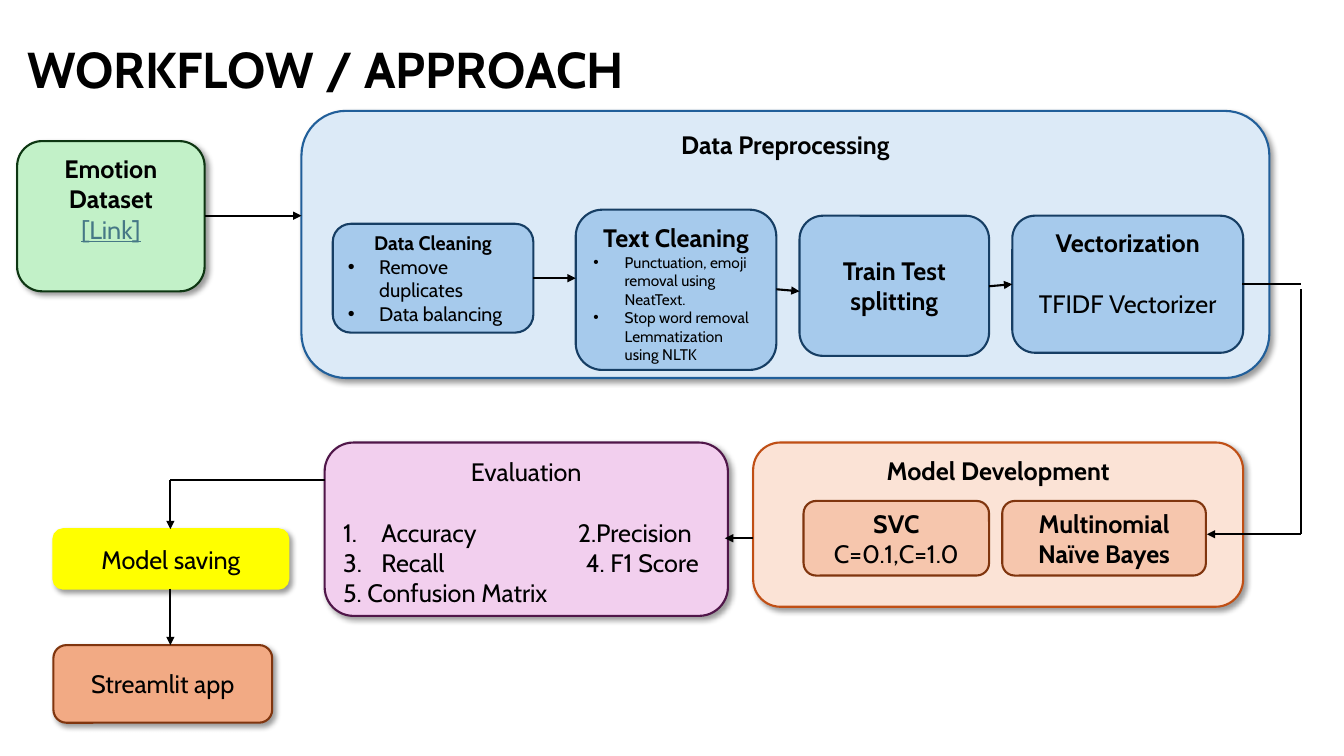
from lxml.etree import SubElement
from pptx import Presentation
from pptx.dml.color import RGBColor
from pptx.enum.shapes import MSO_CONNECTOR, MSO_SHAPE
from pptx.enum.text import MSO_ANCHOR, PP_ALIGN
from pptx.oxml.ns import qn
from pptx.util import Inches, Pt

COLORS = {
    "black": "000000", "link": "467886",
    "mint": "C2F1C8", "forest": "0D3612",
    "ice": "DCEAF7", "blue": "215F9A",
    "sky": "A6CAEC", "navy": "163E64",
    "cream": "FBE3D6", "rust": "C04F15",
    "peach": "F6C6AD", "brown": "80350E",
    "pink": "F2CFEE", "plum": "501649",
    "yellow": "FFFF00", "orange": "F2AA84",
}
CELL = Inches(0.1)  # the slide is a grid of square cells
LINE = 22           # height of an 18 pt line, in points


def color(name):
    return RGBColor.from_string(COLORS[name])


def write(frame, text, size=18, bold=False, ink="black", under=False,
          align=PP_ALIGN.CENTER, before=0, bullet=False, tabs=()):
    """Add one paragraph, filling the first one if it is still empty."""
    para = frame.paragraphs[0] if not frame.text else frame.add_paragraph()
    para.alignment = align
    para.space_before = Pt(before)
    run = para.add_run()
    run.text = text
    font = run.font
    font.name, font.size, font.bold, font.underline = "Cabin", Pt(size), bold, under
    font.color.rgb = color(ink)
    props = para._p.get_or_add_pPr()
    if bullet:
        props.set("marL", str(Inches(0.31)))
        props.set("indent", str(-Inches(0.31)))
        SubElement(props, qn("a:buFont"), typeface="Arial")
        SubElement(props, qn("a:buChar"), char="•")
    if tabs:
        stops = SubElement(props, qn("a:tabLst"))
        for stop in tabs:
            SubElement(stops, qn("a:tab"), pos=str(Inches(stop)), algn="l")


deck = Presentation()
deck.slide_width, deck.slide_height = Inches(13.33), Inches(7.5)
shapes = deck.slides.add_slide(deck.slide_layouts[6]).shapes

# Title
title = shapes.add_textbox(*[int(n * CELL) for n in (1.7, 3.3, 64.9, 7.1)])
title.text_frame.word_wrap = False
write(title.text_frame, "WORKFLOW / APPROACH", size=36, bold=True, align=PP_ALIGN.LEFT)

# Boxes: place in cells, fill, line, shadow, anchor, paragraphs
head = {"bold": True}
item = {"size": 14, "align": PP_ALIGN.LEFT, "bullet": True}
note = {**item, "size": 11}
left = {"align": PP_ALIGN.LEFT}
top, mid = MSO_ANCHOR.TOP, MSO_ANCHOR.MIDDLE
boxes = [
    ((1.7, 14, 18.6, 14.9), "mint", "forest", True, top,
     [("Emotion Dataset", head), ("[Link]", {"ink": "link", "under": True})]),
    ((29.9, 11, 96, 26.5), "ice", "blue", True, top,
     [("Data Preprocessing", head)]),
    ((33, 22.2, 19.9, 10.8), "sky", "navy", False, mid,
     [("Data Cleaning", {"size": 14, "bold": True}),
      ("Remove duplicates", item), ("Data balancing", item)]),
    ((57.1, 20.8, 19.9, 15.9), "sky", "navy", False, top,
     [("Text Cleaning", head),
      ("Punctuation, emoji removal using NeatText.", note),
      ("Stop word removal Lemmatization using NLTK", note)]),
    ((79.3, 21.4, 18.8, 13.9), "sky", "navy", False, mid,
     [("Train Test splitting", head)]),
    ((100.4, 21.4, 22.9, 13.6), "sky", "navy", False, top,
     [("Vectorization", head), ("TFIDF Vectorizer", {"before": LINE})]),
    ((74.7, 43.9, 48.6, 16.3), "cream", "rust", True, top,
     [("Model Development", head)]),
    ((79.7, 49.7, 18.4, 7.4), "peach", "brown", False, mid,
     [("SVC", head), ("C=0.1,C=1.0", {})]),
    ((99.4, 49.7, 20.2, 7.4), "peach", "brown", False, mid,
     [("Multinomial Naïve Bayes", head)]),
    ((32.2, 43.9, 40, 17.2), "pink", "plum", True, top,
     [("Evaluation", {}),
      ("1.\tAccuracy\t2.Precision", {**left, "before": LINE, "tabs": (0.38, 2.33)}),
      ("3.\tRecall\t4. F1 Score", {**left, "tabs": (0.38, 2.41)}),
      ("5. Confusion Matrix", left)]),
    ((5.3, 52.5, 23.3, 5.9), "yellow", "yellow", True, mid,
     [("Model saving", {})]),
    ((5.3, 64, 21.7, 7.7), "orange", "brown", True, mid,
     [("Streamlit app", {})]),
]
for place, fill, edge, shade, anchor, paras in boxes:
    box = shapes.add_shape(MSO_SHAPE.ROUNDED_RECTANGLE, *[int(n * CELL) for n in place])
    box.fill.solid()
    box.fill.fore_color.rgb = color(fill)
    box.line.color.rgb = color(edge)
    box.line.width = Pt(1.5)
    box.shadow.inherit = False
    if shade:
        glow = SubElement(box._element.spPr.find(qn("a:effectLst")), qn("a:outerShdw"),
                          blurRad=str(Pt(4)), dist=str(Pt(3)), dir="2700000",
                          algn="tl", rotWithShape="0")
        tint = SubElement(glow, qn("a:srgbClr"), val=COLORS["black"])
        SubElement(tint, qn("a:alpha"), val="40000")
    frame = box.text_frame
    frame.word_wrap = True
    frame.vertical_anchor = anchor
    for text, style in paras:
        write(frame, text, **style)

# Connectors: start and end in cells, arrowhead
links = [
    (20.3, 21.4, 29.9, 21.4, True),
    (52.9, 27.6, 57.1, 27.6, True),
    (77, 28.7, 79.3, 28.9, True),
    (98.1, 28.4, 100.4, 28.2, True),
    (123.2, 28.2, 129, 28.2, False),
    (129, 28.7, 129, 53, False),
    (129, 53, 119.7, 53, True),
    (74.7, 53.4, 71.9, 53.4, True),
    (32.2, 47.6, 16.9, 47.6, False),
    (16.9, 47.6, 16.9, 52.5, True),
    (16.9, 58.4, 16.9, 64, True),
]
for *ends, arrow in links:
    link = shapes.add_connector(MSO_CONNECTOR.STRAIGHT, *[int(n * CELL) for n in ends])
    link.line.color.rgb = color("black")
    link.line.width = Pt(1.5)
    if arrow:
        SubElement(link.line._get_or_add_ln(), qn("a:tailEnd"), type="triangle")
    SubElement(link._element.spPr, qn("a:effectLst"))

deck.save("out.pptx")
